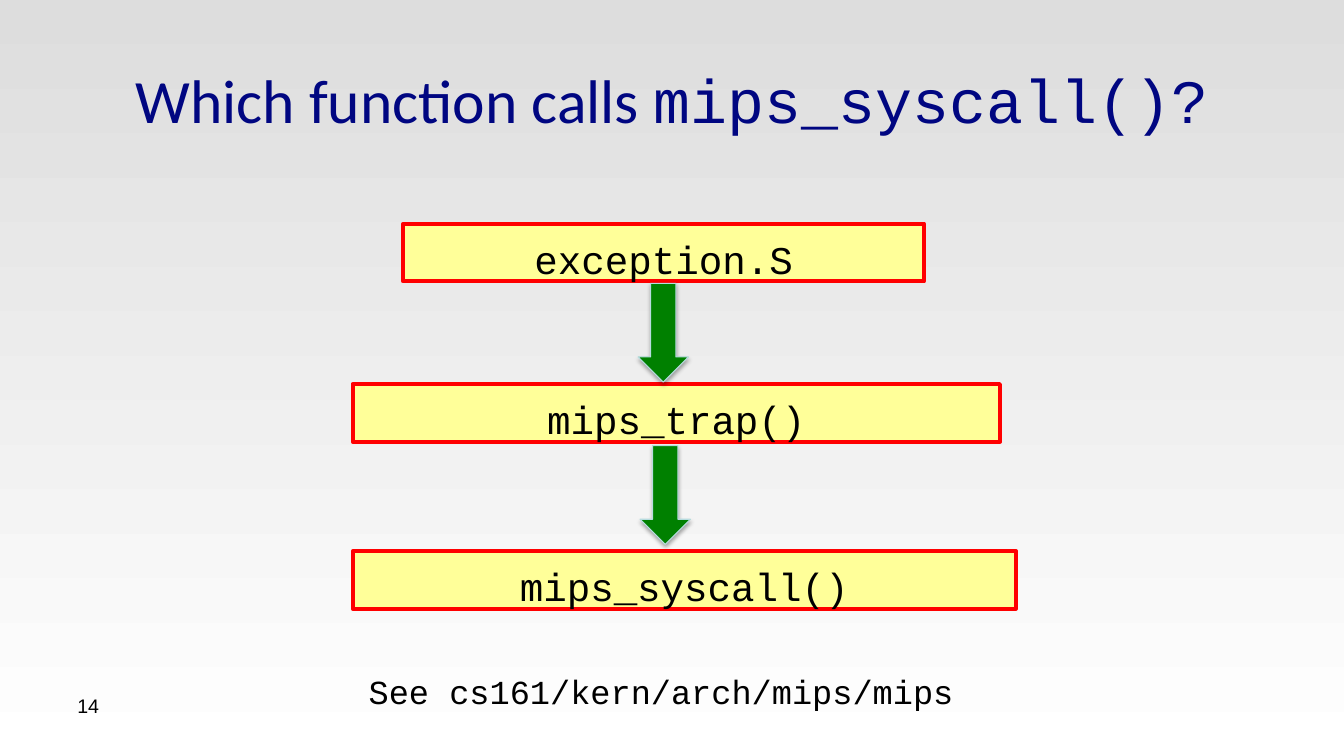
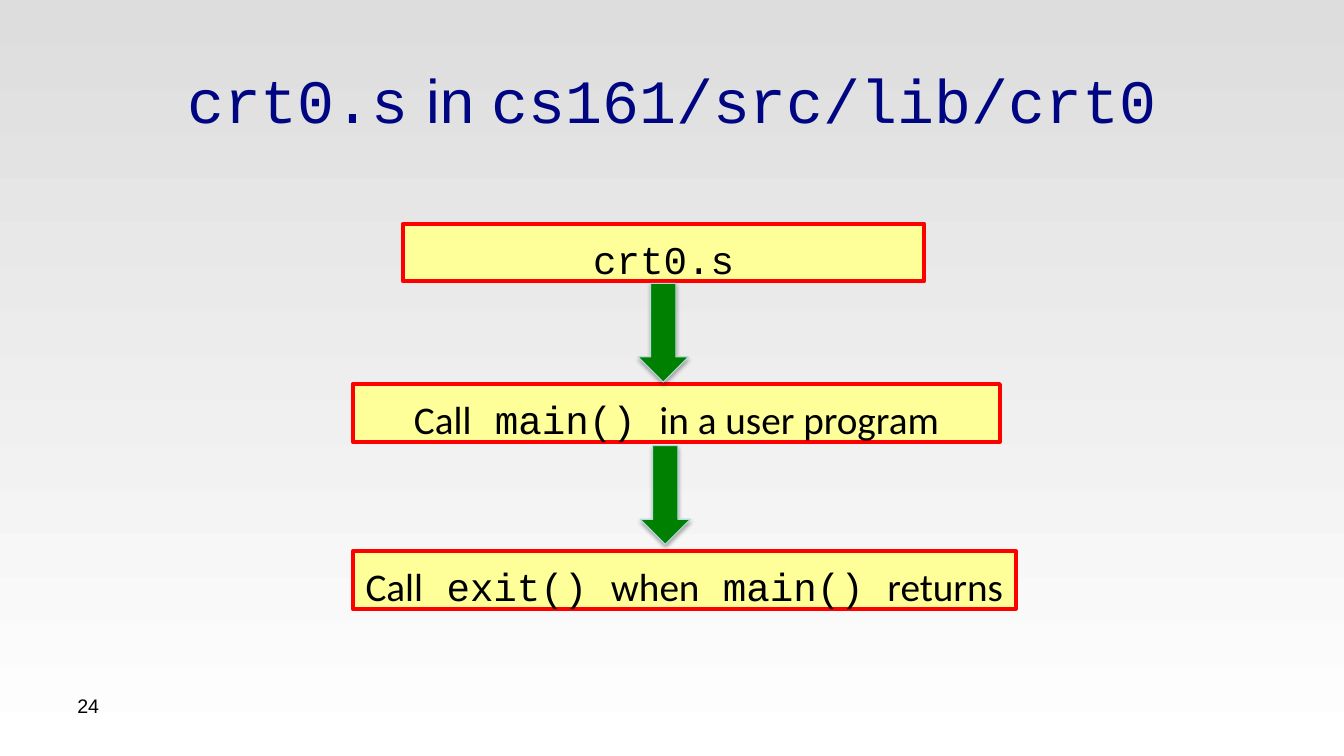
from pptx import Presentation
from pptx.dml.color import RGBColor
from pptx.enum.shapes import MSO_SHAPE as Shape
from pptx.enum.text import MSO_ANCHOR as Anchor, PP_ALIGN as Align
from pptx.oxml import parse_xml
from pptx.oxml.ns import nsdecls, qn
from pptx.util import Cm, Pt

COLOURS = {
    "bg_top": "DDDDDD", "bg_bottom": "FFFFFF", "title": "000681", "text": "000000",
    "box": "FFFF99", "box_line": "FF0000", "arrow": "008000", "arrow_line": "B6DCDF",
}
SANS, ARIAL, MONO = "Calibri", "Arial", "Courier New"

TITLE_PLACE = dict(left=Cm(1.7), top=Cm(0.9), width=Cm(30.48), height=Cm(3.17))
STEP_FRAME = dict(margin_top=Cm(0.3), margin_bottom=0, word_wrap=False,
                  vertical_anchor=Anchor.MIDDLE)

# Left, top and width of each step, and left and top of each arrow, in cm
STEP_PLACES = [(10.16, 5.64, 13.13), (8.89, 9.68, 16.31), (8.89, 13.89, 16.71)]
STEP_HEIGHT = 1.45
ARROW_PLACES = [(16.08, 7.14), (16.13, 11.23)]
ARROW_SIZE = (1.27, 2.49)

SHADOW = (
    f'<a:outerShdw {nsdecls("a")} blurRad="40000" dist="23000" dir="5400000" '
    'rotWithShape="0"><a:srgbClr val="000000"><a:alpha val="35000"/></a:srgbClr>'
    '</a:outerShdw>'
)

SLIDES = [
    dict(
        number="14",
        title=[("Which function calls ", SANS), ("mips_syscall()?", MONO)],
        steps=[[("exception.S", MONO)], [("mips_trap()", MONO)],
               [("mips_syscall()", MONO)]],
        note="See cs161/kern/arch/mips/mips",
    ),
    dict(
        number="24",
        title=[("crt0.s", MONO), (" in ", ARIAL), ("cs161/src/lib/crt0", MONO)],
        steps=[[("crt0.s", MONO)],
               [("Call", SANS), (" main() ", MONO), ("in a user program", SANS)],
               [("Call", SANS), (" exit() ", MONO), ("when", SANS),
                (" main() ", MONO), ("returns", SANS)]],
        note=None,
    ),
]


def colour(name):
    return RGBColor.from_string(COLOURS[name])


def apply(target, values):
    for name, value in values.items():
        setattr(target, name, value)


def write(frame, pieces, size, ink="text", align=Align.CENTER):
    """Fill the first paragraph with (text, font name) pieces."""
    paragraph = frame.paragraphs[0]
    paragraph.alignment = align
    for text, face in pieces:
        run = paragraph.add_run()
        run.text = text
        apply(run.font, dict(name=face, size=Pt(size)))
        run.font.color.rgb = colour(ink)


def paint(shape, fill, line, weight):
    shape.shadow.inherit = False
    shape.fill.solid()
    shape.fill.fore_color.rgb = colour(fill)
    shape.line.color.rgb = colour(line)
    shape.line.width = Pt(weight)


def set_background(master):
    fill = master.background.fill
    fill.gradient()
    fill.gradient_angle = 270
    for stop, name in zip(fill.gradient_stops, ("bg_top", "bg_bottom")):
        stop.color.rgb = colour(name)


def add_title(slide, pieces):
    title = slide.shapes.title
    apply(title, TITLE_PLACE)
    title.text_frame.vertical_anchor = Anchor.MIDDLE
    write(title.text_frame, pieces, 44, "title")


def add_label(slide, place, text, face, size):
    label = slide.shapes.add_textbox(*map(Cm, place))
    label.text_frame.word_wrap = True
    write(label.text_frame, [(text, face)], size, align=Align.LEFT)


def add_step(slide, place, pieces):
    step = slide.shapes.add_shape(Shape.RECTANGLE, *map(Cm, (*place, STEP_HEIGHT)))
    paint(step, "box", "box_line", 3)
    apply(step.text_frame, STEP_FRAME)
    write(step.text_frame, pieces, 28)


def add_arrow(slide, place):
    arrow = slide.shapes.add_shape(Shape.DOWN_ARROW, *map(Cm, place + ARROW_SIZE))
    paint(arrow, "arrow", "arrow_line", 0.75)
    effects = arrow.element.spPr.find(qn("a:effectLst"))
    effects.append(parse_xml(SHADOW))


def add_call_chain(prs, content):
    slide = prs.slides.add_slide(prs.slide_layouts[5])
    add_title(slide, content["title"])
    add_label(slide, (1.7, 17.35, 7.9, 1.32), content["number"], ARIAL, 14)
    # Chain of calls
    for place, pieces in zip(STEP_PLACES, content["steps"]):
        add_step(slide, place, pieces)
    for place in ARROW_PLACES:
        add_arrow(slide, place)
    # Where to read on
    if content["note"]:
        add_label(slide, (9.04, 16.79, 15.44, 1.2), content["note"], MONO, 24)


def main():
    prs = Presentation()
    apply(prs, dict(slide_width=Cm(33.87), slide_height=Cm(19.05)))
    set_background(prs.slide_master)
    for content in SLIDES:
        add_call_chain(prs, content)
    prs.save("out.pptx")


if __name__ == "__main__":
    main()
